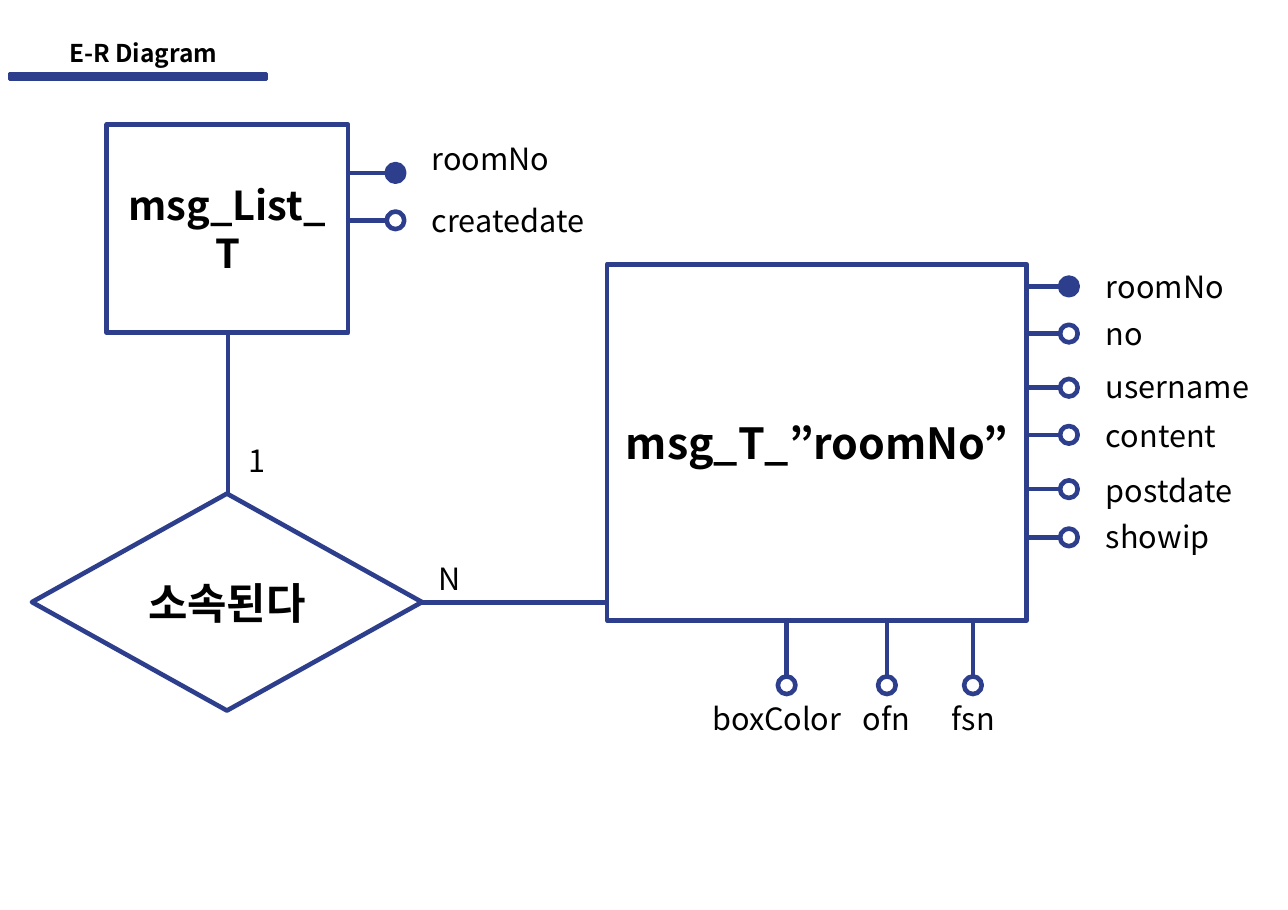
from lxml import etree
from pptx import Presentation
from pptx.dml.color import RGBColor
from pptx.enum.shapes import MSO_CONNECTOR, MSO_SHAPE
from pptx.enum.text import MSO_ANCHOR, PP_ALIGN
from pptx.oxml.ns import qn
from pptx.util import Pt

RECT, DIAMOND, OVAL = MSO_SHAPE.RECTANGLE, MSO_SHAPE.DIAMOND, MSO_SHAPE.OVAL
STRAIGHT = MSO_CONNECTOR.STRAIGHT
LEFT, CENTER = PP_ALIGN.LEFT, PP_ALIGN.CENTER
TOP, MIDDLE = MSO_ANCHOR.TOP, MSO_ANCHOR.MIDDLE

COLORS = {"navy": "2C3E8C", "text": "000000"}
FONT = "Noto Sans CJK KR"
DOT = 11.5
LABEL_HEIGHT = 31.7


def rgb(name):
    return RGBColor.from_string(COLORS[name])


def write(frame, text, size=20, bold=False, align=LEFT, anchor=TOP):
    frame.word_wrap = True
    frame.vertical_anchor = anchor
    frame.margin_left = frame.margin_right = Pt(7.2)
    frame.margin_top = frame.margin_bottom = Pt(3.6)
    paragraph = frame.paragraphs[0]
    paragraph.alignment = align
    run = paragraph.add_run()
    run.text = text
    run.font.size, run.font.bold, run.font.name = Pt(size), bold, FONT
    run.font.color.rgb = rgb("text")
    east_asian = etree.SubElement(run.font._element, qn("a:ea"))
    east_asian.set("typeface", FONT)


class Diagram:
    def __init__(self, slide, color="navy", weight=3):
        self.slide, self.color, self.weight = slide, color, weight

    def shape(self, kind, x, y, w, h, filled=False, weight=None):
        shape = self.slide.shapes.add_shape(kind, Pt(x), Pt(y), Pt(w), Pt(h))
        shape.shadow.inherit = False
        if filled:
            shape.fill.solid()
            shape.fill.fore_color.rgb = rgb(self.color)
        else:
            shape.fill.background()
        shape.line.color.rgb = rgb(self.color)
        shape.line.width = Pt(weight or self.weight)
        return shape

    def node(self, kind, text, x, y, w, h, size=28):
        node = self.shape(kind, x, y, w, h)
        write(node.text_frame, text, size, True, CENTER, MIDDLE)

    def link(self, x1, y1, x2, y2):
        link = self.slide.shapes.add_connector(STRAIGHT, Pt(x1), Pt(y1), Pt(x2), Pt(y2))
        link.line.color.rgb = rgb(self.color)
        link.line.width = Pt(self.weight)
        etree.SubElement(link._element.spPr, qn("a:effectLst"))

    def label(self, text, x, y, w, h=LABEL_HEIGHT, **style):
        box = self.slide.shapes.add_textbox(Pt(x), Pt(y), Pt(w), Pt(h))
        write(box.text_frame, text, **style)

    def side_attribute(self, text, edge, dot_x, y, label_x, label_y, key=False):
        self.link(edge, y, dot_x, y)
        self.shape(OVAL, dot_x, y - DOT / 2, DOT, DOT, filled=key)
        self.label(text, label_x, label_y, 122)

    def bottom_attribute(self, text, edge, dot_y, x, label_center, width):
        self.link(x, edge, x, dot_y)
        self.shape(OVAL, x - DOT / 2, dot_y, DOT, DOT)
        self.label(text, label_center - width / 2, 454, width, align=CENTER)


def main():
    prs = Presentation()
    prs.slide_width, prs.slide_height = Pt(841.7), Pt(594.7)
    diagram = Diagram(prs.slides.add_slide(prs.slide_layouts[6]))

    # Heading
    diagram.shape(RECT, 6.5, 48.2, 167.8, 3.6, filled=True, weight=2)
    diagram.label("E-R Diagram", 0.7, 21.6, 185.8, 26.6, size=16, bold=True, align=CENTER)

    # Entities and their relationship
    diagram.node(RECT, "msg_List_T", 69.8, 81.4, 157.7, 136.1, size=26)
    diagram.node(DIAMOND, "소속된다", 20.9, 322.6, 254.9, 141.8)
    diagram.node(RECT, "msg_T_”roomNo”", 396.7, 172.8, 274.3, 232.6)
    diagram.link(149, 322.6, 149, 217.5)
    diagram.link(275.8, 393.8, 396, 393.8)
    diagram.label("1", 155.5, 285.1, 33.8)
    diagram.label("N", 279.4, 362.2, 33.8)

    # Attributes of the list: name, line height, label top
    for name, y, label_y in [("roomNo", 113, 87.8), ("createdate", 144, 128.2)]:
        diagram.side_attribute(name, 227.5, 252.7, y, 275, label_y, key=name == "roomNo")

    # Attributes of the room table: name, line height, label top
    room_attributes = [
        ("roomNo", 187.2, 171.4), ("no", 218, 202.3),
        ("username", 253.4, 236.9), ("content", 284.2, 268.6),
        ("postdate", 319.7, 304.6), ("showip", 351.2, 334.8),
    ]
    for name, y, label_y in room_attributes:
        diagram.side_attribute(name, 670.5, 692.8, y, 715.7, label_y, key=name == "roomNo")

    # Attributes below the room table: name, line x, label centre, label width
    for name, x, label_center, width in [
        ("boxColor", 514.1, 507.6, 110.9),
        ("ofn", 579.6, 579.2, 48.2),
        ("fsn", 635.8, 636.1, 48.2),
    ]:
        diagram.bottom_attribute(name, 405.4, 442.1, x, label_center, width)

    prs.save("out.pptx")


if __name__ == "__main__":
    main()
